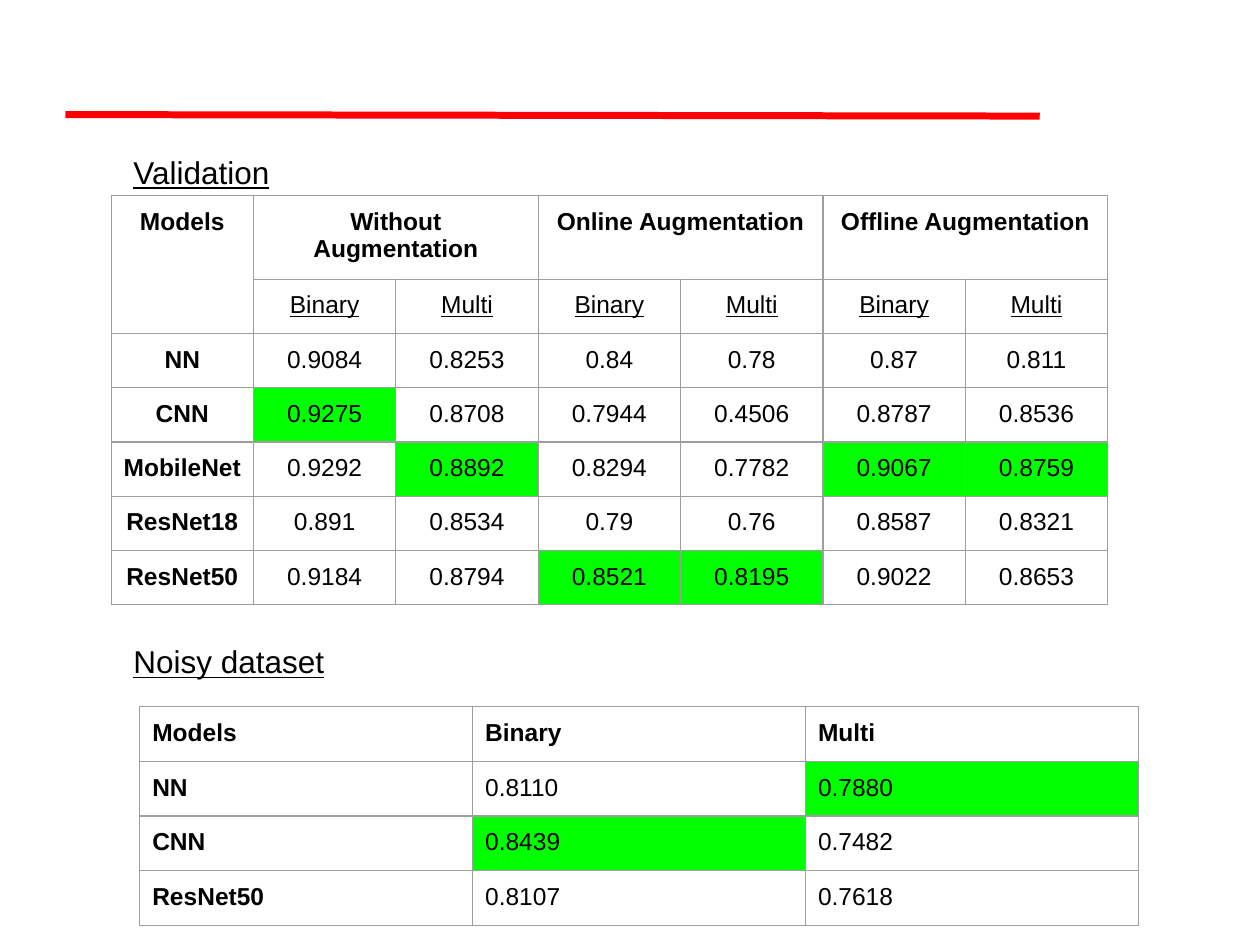
from dataclasses import dataclass

from lxml.etree import SubElement
from pptx import Presentation
from pptx.dml.color import RGBColor
from pptx.enum.shapes import MSO_CONNECTOR
from pptx.enum.text import PP_ALIGN
from pptx.oxml import parse_xml
from pptx.oxml.ns import nsdecls, qn
from pptx.util import Cm, Pt


@dataclass(frozen=True)
class Theme:
    font: str = "Arial"
    ink: str = "000000"
    rule: str = "FF0000"
    border: str = "9E9E9E"
    best: str = "00FF00"
    heading_size: int = 18
    cell_size: int = 14
    rule_width: int = 4
    border_width: float = 0.75
    inset: float = 0.25


THEME = Theme()

SECTIONS = [
    {
        "heading": "Validation",
        "heading_top": 2.84,
        "left": 2.24,
        "top": 3.94,
        "column_width": 2.87,
        "row_heights": [1.63] + [1.06] * 6,
        "align": PP_ALIGN.CENTER,
        "rows": [
            ["Models", "Without Augmentation", "", "Online Augmentation", "",
             "Offline Augmentation", ""],
            ["", "Binary", "Multi", "Binary", "Multi", "Binary", "Multi"],
            ["NN", "0.9084", "0.8253", "0.84", "0.78", "0.87", "0.811"],
            ["CNN", "0.9275", "0.8708", "0.7944", "0.4506", "0.8787", "0.8536"],
            ["MobileNet", "0.9292", "0.8892", "0.8294", "0.7782", "0.9067", "0.8759"],
            ["ResNet18", "0.891", "0.8534", "0.79", "0.76", "0.8587", "0.8321"],
            ["ResNet50", "0.9184", "0.8794", "0.8521", "0.8195", "0.9022", "0.8653"],
        ],
        "merges": [((0, 0), (1, 0)), ((0, 1), (0, 2)), ((0, 3), (0, 4)), ((0, 5), (0, 6))],
        "underlined_rows": {1},
        "best": {(3, 1), (4, 2), (4, 5), (4, 6), (6, 3), (6, 4)},
    },
    {
        "heading": "Noisy dataset",
        "heading_top": 12.7,
        "left": 2.82,
        "top": 14.25,
        "column_width": 6.71,
        "row_heights": [1.1] * 4,
        "align": PP_ALIGN.LEFT,
        "rows": [
            ["Models", "Binary", "Multi"],
            ["NN", "0.8110", "0.7880"],
            ["CNN", "0.8439", "0.7482"],
            ["ResNet50", "0.8107", "0.7618"],
        ],
        "merges": [],
        "underlined_rows": set(),
        "best": {(1, 2), (2, 1)},
    },
]


def set_insets(target):
    target.margin_left = target.margin_right = Cm(THEME.inset)
    target.margin_top = target.margin_bottom = Cm(THEME.inset)


def style_text(text_frame, size, bold=False, underline=False, align=PP_ALIGN.LEFT):
    for paragraph in text_frame.paragraphs:
        paragraph.alignment = align
        for run in paragraph.runs:
            run.font.name = THEME.font
            run.font.size = Pt(size)
            run.font.bold = bold
            run.font.underline = underline
            run.font.color.rgb = RGBColor.from_string(THEME.ink)


def add_borders(cell):
    properties = cell._tc.get_or_add_tcPr()
    for position, side in enumerate(("lnL", "lnR", "lnT", "lnB")):
        properties.insert(position, parse_xml(
            f'<a:{side} {nsdecls("a")} w="{Pt(THEME.border_width)}">'
            f'<a:solidFill><a:srgbClr val="{THEME.border}"/></a:solidFill></a:{side}>'))


def add_rule(slide):
    rule = slide.shapes.add_connector(
        MSO_CONNECTOR.STRAIGHT, Cm(1.32), Cm(2.31), Cm(20.96), Cm(2.34))
    rule.line.color.rgb = RGBColor.from_string(THEME.rule)
    rule.line.width = Pt(THEME.rule_width)
    SubElement(rule._element.spPr, qn("a:effectLst"))


def add_heading(slide, section):
    heading = slide.shapes.add_textbox(
        Cm(2.44), Cm(section["heading_top"]), Cm(8.33), Cm(1.27)).text_frame
    heading.word_wrap = True
    set_insets(heading)
    heading.text = section["heading"]
    style_text(heading, THEME.heading_size, underline=True)


def add_scores(slide, section):
    rows, heights = section["rows"], section["row_heights"]
    column_count = len(rows[0])
    scores = slide.shapes.add_table(
        len(rows), column_count, Cm(section["left"]), Cm(section["top"]),
        Cm(section["column_width"] * column_count), Cm(sum(heights))).table
    scores.first_row = scores.horz_banding = False
    for column in scores.columns:
        column.width = Cm(section["column_width"])
    for row, height in zip(scores.rows, heights):
        row.height = Cm(height)
    for start, end in section["merges"]:
        scores.cell(*start).merge(scores.cell(*end))

    for r, values in enumerate(rows):
        for c, value in enumerate(values):
            cell = scores.cell(r, c)
            if (r, c) in section["best"]:
                cell.fill.solid()
                cell.fill.fore_color.rgb = RGBColor.from_string(THEME.best)
            else:
                cell.fill.background()
            add_borders(cell)
            if cell.is_spanned:
                continue
            set_insets(cell)
            cell.text_frame.text = value
            style_text(cell.text_frame, THEME.cell_size, bold=r == 0 or c == 0,
                       underline=r in section["underlined_rows"], align=section["align"])


def main():
    presentation = Presentation()
    presentation.slide_width, presentation.slide_height = Cm(25.4), Cm(19.05)
    slide = presentation.slides.add_slide(presentation.slide_layouts[6])
    add_rule(slide)
    for section in SECTIONS:
        add_heading(slide, section)
        add_scores(slide, section)
    presentation.save("out.pptx")


if __name__ == "__main__":
    main()
